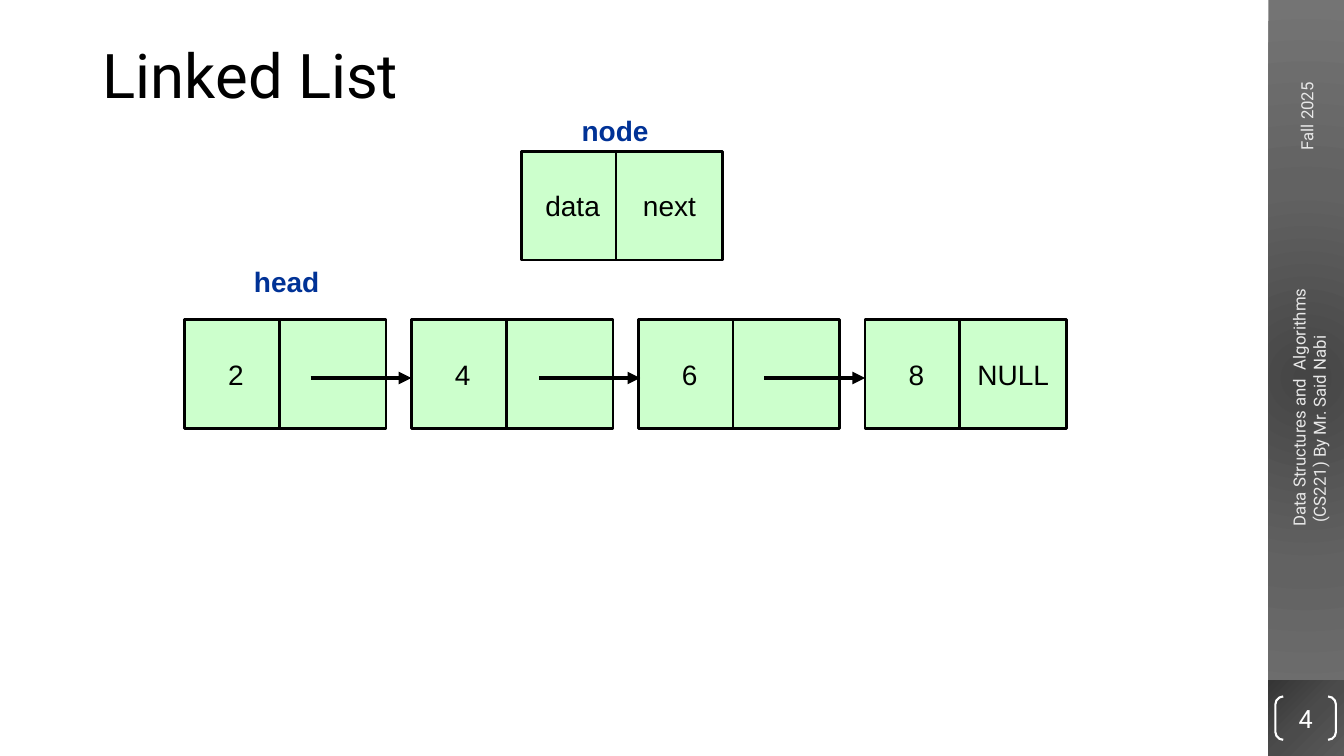
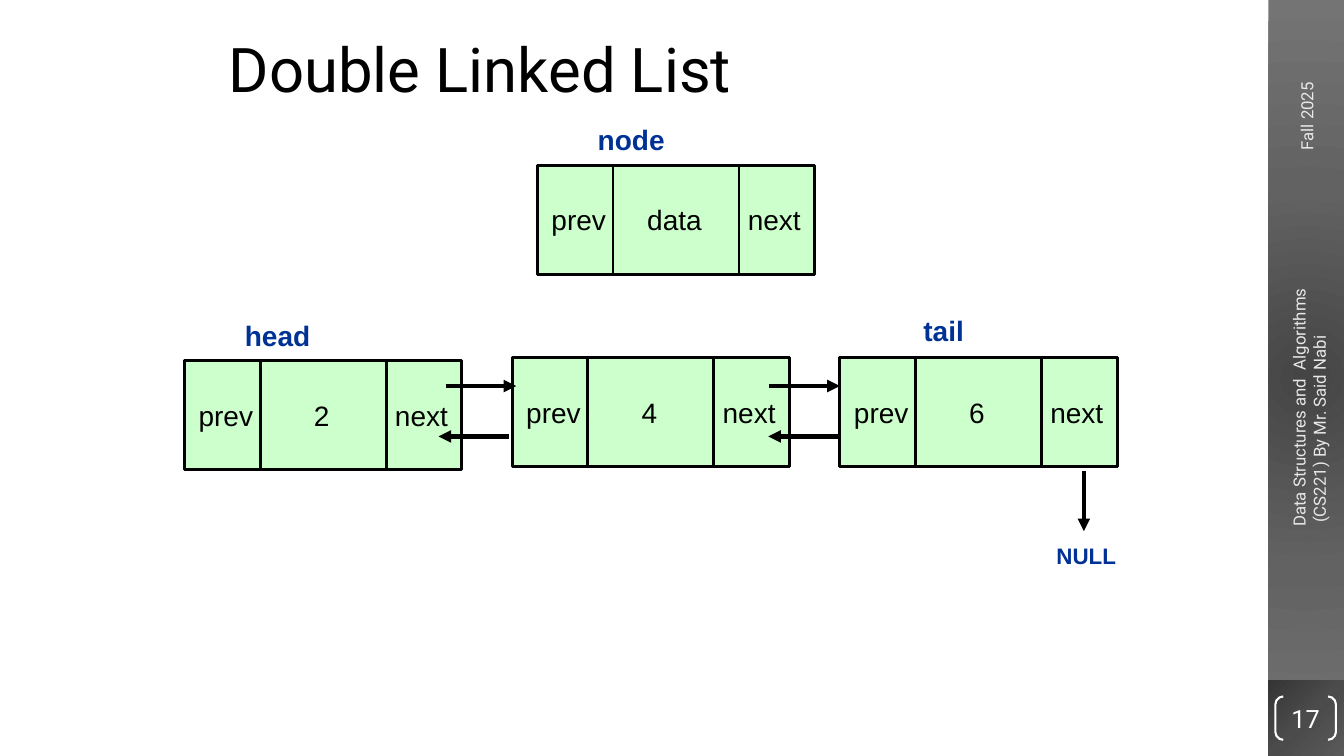
from dataclasses import dataclass

from lxml import etree
from pptx import Presentation
from pptx.dml.color import RGBColor
from pptx.enum.shapes import MSO_CONNECTOR, MSO_SHAPE
from pptx.enum.text import MSO_ANCHOR, PP_ALIGN
from pptx.oxml import parse_xml
from pptx.oxml.ns import nsdecls, qn
from pptx.util import Inches, Pt

RECT, BRACKETS = MSO_SHAPE.RECTANGLE, MSO_SHAPE.DOUBLE_BRACKET
STRAIGHT = MSO_CONNECTOR.STRAIGHT
MIDDLE, TOP = MSO_ANCHOR.MIDDLE, MSO_ANCHOR.TOP
LEFT, CENTER = PP_ALIGN.LEFT, PP_ALIGN.CENTER


@dataclass(frozen=True)
class Theme:
    ink: str = "000000"
    node: str = "CCFFCC"
    label: str = "003296"
    footer: str = "E8E8E8"
    number: str = "FFFFFF"
    band: tuple = ("454545", "626262", "747474")
    corner: tuple = ("353535", "4B4B4B", "595959")
    heading_font: str = "Roboto"
    diagram_font: str = "Arial"
    title_size: int = 44
    node_size: int = 20
    null_size: int = 16
    number_size: int = 18
    footer_size: int = 12
    outline: float = 2
    arrow: float = 3


T = Theme()

# Bands: left, top, width, height, gradient colours, focus (l, t, r, b in percent)
BANDS = [
    (12.58, 0, 0.75, 7.5, T.band, (50, 50, 50, 50)),
    (12.58, 6.75, 0.75, 0.75, T.corner, (0, 0, 100, 100)),
]
FOOTERS = [
    ("Fall 2025", 12.25, 0.73, 1.42, 0.3),
    ("Data Structures and  Algorithms\n (CS221) By Mr. Said Nabi", 11.65, 3.74, 2.67, 0.5),
]

# Node kinds: width, divider offsets, centres of the cell texts
NODE_HEIGHT = 1.08
SINGLE = (2, (0.94,), (0.51, 1.47))
DOUBLE = (2.75, (0.75, 2), (0.41, 1.36, 2.35))

SLIDES = [
    {
        "title": ("Linked List", 0.92, 0.4, 11.5, 1.45),
        "number": "4",
        "kind": SINGLE,
        "nodes": [(5.17, 1.5, ("data", "next"))] + [
            (1.83 + 2.25 * i, 3.17, cells)
            for i, cells in enumerate([("2",), ("4",), ("6",), ("8", "NULL")])
        ],
        "arrows": [((x, 3.75), (x + 1, 3.75)) for x in (3.08, 5.35, 7.58)],
        "labels": [
            ("node", 5.67, 1.08, 0.87, 0.43, T.node_size),
            ("head", 2.42, 2.57, 0.85, 0.43, T.node_size),
        ],
    },
    {
        "title": ("Double Linked List", 2.17, 0.34, 9, 1.25),
        "number": "17",
        "kind": DOUBLE,
        "nodes": [(5.33, 1.64, ("prev", "data", "next"))] + [
            (x, y, ("prev", value, "next"))
            for x, y, value in [(1.83, 3.58, "2"), (5.08, 3.55, "4"), (8.33, 3.55, "6")]
        ],
        "arrows": [((x, 3.83), (x + 0.7, 3.83)) for x in (4.42, 7.63)]
        + [((x, 4.33), (x - 0.7, 4.33)) for x in (5.05, 8.32)]
        + [((10.75, 4.67), (10.75, 5.27))],
        "labels": [
            ("node", 5.83, 1.17, 0.87, 0.43, T.node_size),
            ("head", 2.33, 3.11, 0.86, 0.44, T.node_size),
            ("tail", 9.06, 3.06, 0.61, 0.44, T.node_size),
            ("NULL", 10.38, 5.33, 0.79, 0.37, T.null_size),
        ],
    },
]


def write(sp, text, font, size, color, bold=False, align=LEFT, anchor=TOP, wrap=True):
    """Fill the shape with text in one format and return its text frame."""
    tf = sp.text_frame
    tf.text = text
    tf.word_wrap = wrap
    tf.vertical_anchor = anchor
    for p in tf.paragraphs:
        p.alignment = align
        for r in p.runs:
            r.font.name = font
            r.font.size = Pt(size)
            r.font.bold = bold
            r.font.color.rgb = RGBColor.from_string(color)
    return tf


def add_line(shapes, start, end, width, arrow=False):
    line = shapes.add_connector(STRAIGHT, *map(Inches, start + end))
    line.line.color.rgb = RGBColor.from_string(T.ink)
    line.line.width = Pt(width)
    if arrow:
        etree.SubElement(line.get_or_add_ln(), qn("a:tailEnd"), type="triangle")
    etree.SubElement(line._element.spPr, qn("a:effectLst"))


prs = Presentation()
prs.slide_width, prs.slide_height = Inches(13.33), Inches(7.5)

for page in SLIDES:
    s = prs.slides.add_slide(prs.slide_layouts[6])

    # Side band, footers and slide number
    for *box, colors, focus in BANDS:
        sp = s.shapes.add_shape(RECT, *map(Inches, box))
        sp.shadow.inherit = False
        sp.line.fill.background()
        stops = "".join(
            f'<a:gs pos="{i * 50000}"><a:srgbClr val="{c}"/></a:gs>'
            for i, c in enumerate(colors)
        )
        sides = " ".join(f'{k}="{v * 1000}"' for k, v in zip("ltrb", focus))
        sp._element.spPr.find(qn("a:prstGeom")).addnext(parse_xml(
            f'<a:gradFill {nsdecls("a")} rotWithShape="1"><a:gsLst>{stops}</a:gsLst>'
            f'<a:path path="circle"><a:fillToRect {sides}/></a:path></a:gradFill>'
        ))
    for text, *box in FOOTERS:
        sp = s.shapes.add_textbox(*map(Inches, box))
        sp.rotation = 270
        write(sp, text, T.heading_font, T.footer_size, T.footer)
    sp = s.shapes.add_shape(BRACKETS, *map(Inches, (12.65, 6.91, 0.6, 0.43)))
    sp.adjustments[0] = 0.18
    sp.shadow.inherit = False
    sp.fill.background()
    sp.line.color.rgb = RGBColor.from_string(T.number)
    sp.line.width = Pt(1.5)
    tf = write(sp, page["number"], T.heading_font, T.number_size, T.number,
               align=CENTER, anchor=MIDDLE)
    tf.margin_left = tf.margin_right = tf.margin_top = tf.margin_bottom = 0

    # Title
    text, *box = page["title"]
    sp = s.shapes.add_textbox(*map(Inches, box))
    tf = write(sp, text, T.heading_font, T.title_size, T.ink)
    tf.paragraphs[0].line_spacing = 0.9

    # Nodes: a box with dividers, its cell texts centred on tab stops
    width, dividers, centres = page["kind"]
    for x, y, cells in page["nodes"]:
        node = s.shapes.add_group_shape().shapes
        sp = node.add_shape(RECT, *map(Inches, (x, y, width, NODE_HEIGHT)))
        sp.shadow.inherit = False
        sp.fill.solid()
        sp.fill.fore_color.rgb = RGBColor.from_string(T.node)
        sp.line.color.rgb = RGBColor.from_string(T.ink)
        sp.line.width = Pt(T.outline)
        tf = write(sp, "".join("\t" + cell for cell in cells), T.diagram_font,
                   T.node_size, T.ink, anchor=MIDDLE)
        tf.margin_left = tf.margin_right = 0
        tabs = etree.SubElement(tf.paragraphs[0]._p.get_or_add_pPr(), qn("a:tabLst"))
        for centre in centres:
            etree.SubElement(tabs, qn("a:tab"), pos=str(Inches(centre)), algn="ctr")
        for offset in dividers:
            add_line(node, (x + offset, y + NODE_HEIGHT), (x + offset, y), T.outline)

    for start, end in page["arrows"]:
        add_line(s.shapes, start, end, T.arrow, arrow=True)

    for text, *box, size in page["labels"]:
        sp = s.shapes.add_textbox(*map(Inches, box))
        write(sp, text, T.diagram_font, size, T.label, bold=True, wrap=False)

prs.save("out.pptx")
